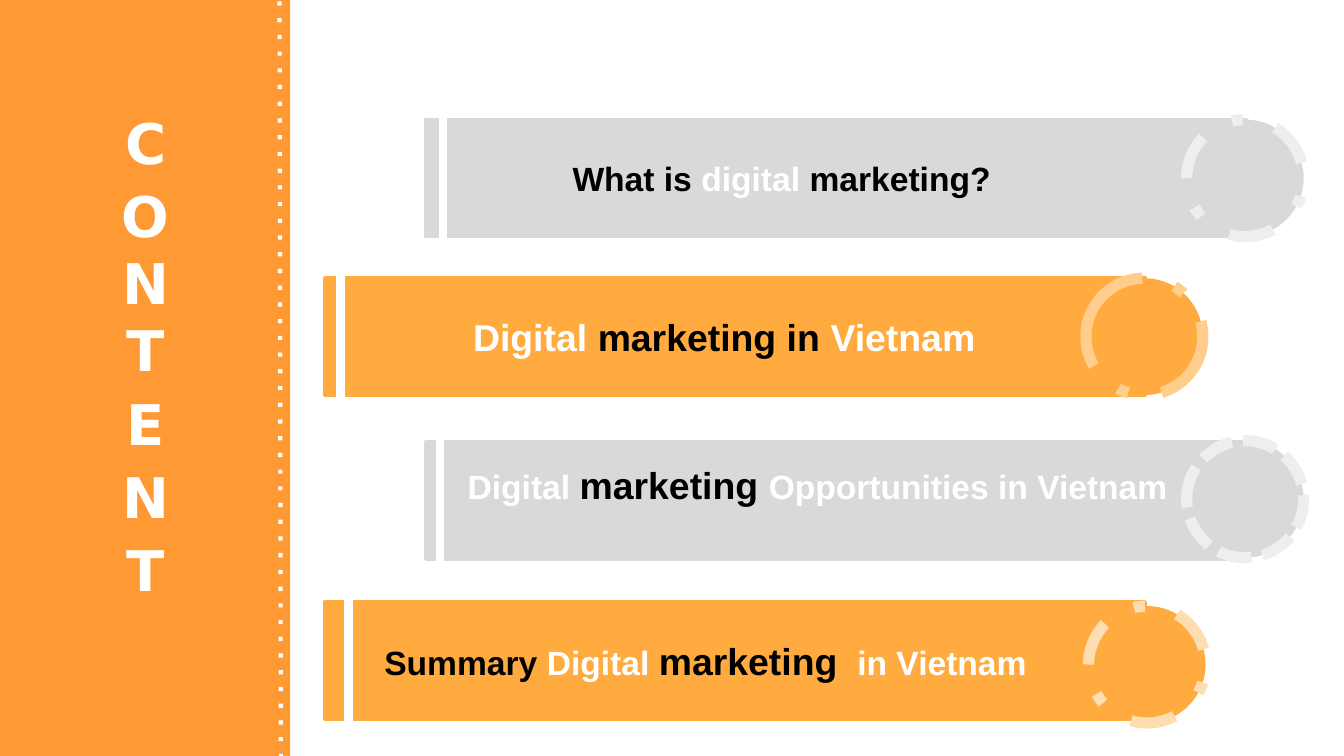
from pptx import Presentation
from pptx.dml.color import RGBColor
from pptx.enum.dml import MSO_LINE
from pptx.enum.shapes import MSO_CONNECTOR, MSO_SHAPE
from pptx.enum.text import MSO_ANCHOR, MSO_AUTO_SIZE, PP_ALIGN
from pptx.oxml.ns import qn
from pptx.util import Inches, Pt
from copy import deepcopy
from lxml import etree

RECTANGLE, OVAL = MSO_SHAPE.RECTANGLE, MSO_SHAPE.OVAL
MIDDLE, CENTER, LEFT = MSO_ANCHOR.MIDDLE, PP_ALIGN.CENTER, PP_ALIGN.LEFT

WHITE, BLACK, GREY, AMBER = "FFFFFF", "000000", "D9D9D9", "FFAB40"
SIDEBAR = "FF9933"
SLIDE_WIDTH = 10
SLIDE_HEIGHT = SLIDE_WIDTH * 9 / 16
BAR_WIDTH, BAR_HEIGHT = 6.1, 0.87
DIVIDER_WIDTH, DIVIDER_HEIGHT = 0.05, 1.3

HEADING = ["C", "O\vN\vT", "E", "N", "T"]
TOPICS = [
    {"bar": (3.17, 0.89), "color": GREY, "indent": 1.09, "bottom": 0.05,
     "ring": (8.83, 0.89, "EEEEEE", "dashDot"), "divider": (3.27, 0.67),
     "words": [("What is ", 18, BLACK), ("digital", 18, WHITE), (" marketing?", 18, BLACK)]},
    {"bar": (2.42, 2.07), "color": AMBER, "indent": 1.1, "bottom": 0.05,
     "ring": (8.08, 2.07, "FFCD8C", "lgDashDot"), "divider": (2.51, 1.96),
     "words": [("Digital ", 20, WHITE), ("marketing in ", 20, BLACK), ("Vietnam", 20, WHITE)]},
    {"bar": (3.17, 3.29), "color": GREY, "indent": 0.31, "bottom": 0.29,
     "ring": (8.83, 3.28, "EEEEEE", "sysDash"), "divider": (3.25, 3.07),
     "words": [("Digital ", 18, WHITE), ("marketing ", 20, BLACK),
               ("Opportunities in Vietnam", 18, WHITE)]},
    {"bar": (2.42, 4.48), "color": AMBER, "indent": 0.44, "bottom": 0.05,
     "ring": (8.1, 4.51, "FFDDB3", "dashDot"), "divider": (2.57, 4.34),
     "words": [("Summary ", 18, BLACK), ("Digital ", 18, WHITE),
               ("marketing ", 20, BLACK), (" in Vietnam", 18, WHITE)]},
]


def rgb(color):
    return RGBColor.from_string(color)


def apply(target, values):
    for name, value in values.items():
        setattr(target, name, value)


def style_font(font, name, size, color):
    apply(font, {"name": name, "size": Pt(size), "bold": True})
    font.color.rgb = rgb(color)


def style_line(line, color, width, dash=None):
    line.color.rgb = rgb(color)
    line.width = Pt(width)
    if dash:
        line.dash_style = MSO_LINE.DASH
        line._ln.find(qn("a:prstDash")).set("val", dash)


def add_block(kind, left, top, width, height, color):
    block = slide.shapes.add_shape(kind, *map(Inches, (left, top, width, height)))
    block.shadow.inherit = False
    block.fill.solid()
    block.fill.fore_color.rgb = rgb(color)
    block.line.fill.background()
    return block


def add_heading(heading):
    apply(heading, {"left": Inches(0.08), "top": Inches(2.41),
                    "width": Inches(2.01), "height": Inches(0.47)})
    frame = heading.text_frame
    apply(frame, {"auto_size": MSO_AUTO_SIZE.NONE, "word_wrap": True,
                  "vertical_anchor": MIDDLE})
    frame.text = "\n".join(HEADING)
    for paragraph in frame.paragraphs:
        apply(paragraph, {"alignment": CENTER, "space_before": Pt(3.2)})
        for run in paragraph.runs:
            style_font(run.font, "DejaVu Sans", 30, WHITE)
        for line_break in paragraph._p.findall(qn("a:br")):
            line_break.append(deepcopy(paragraph.runs[0]._r.rPr))


def add_topic(topic):
    bar = add_block(RECTANGLE, *topic["bar"], BAR_WIDTH, BAR_HEIGHT, topic["color"])
    style_line(bar.line, topic["color"], 2)
    frame = bar.text_frame
    apply(frame, {"word_wrap": True, "vertical_anchor": MIDDLE,
                  "margin_left": Inches(topic["indent"]),
                  "margin_bottom": Inches(topic["bottom"])})
    paragraph = frame.paragraphs[0]
    paragraph.alignment = LEFT
    for words, size, color in topic["words"]:
        run = paragraph.add_run()
        run.text = words
        style_font(run.font, "Arial", size, color)

    left, top, ring_color, dash = topic["ring"]
    ring = add_block(OVAL, left, top, BAR_HEIGHT, BAR_HEIGHT, topic["color"])
    style_line(ring.line, ring_color, 6, dash)
    divider = add_block(RECTANGLE, *topic["divider"], DIVIDER_WIDTH, DIVIDER_HEIGHT, WHITE)
    style_line(divider.line, WHITE, 1)


presentation = Presentation()
apply(presentation, {"slide_width": Inches(SLIDE_WIDTH),
                     "slide_height": Inches(SLIDE_HEIGHT)})
slide = presentation.slides.add_slide(presentation.slide_layouts[5])
heading = slide.shapes.title

add_block(RECTANGLE, -0.02, 0, 2.18, SLIDE_HEIGHT, SIDEBAR)
dotted_edge = slide.shapes.add_connector(
    MSO_CONNECTOR.STRAIGHT, *map(Inches, (2.09, 5.64, 2.08, 0)))
style_line(dotted_edge.line, WHITE, 2.25, "dot")
etree.SubElement(dotted_edge._element.spPr, qn("a:effectLst"))

heading._element.getparent().append(heading._element)
add_heading(heading)
for topic in TOPICS:
    add_topic(topic)

presentation.save("out.pptx")
